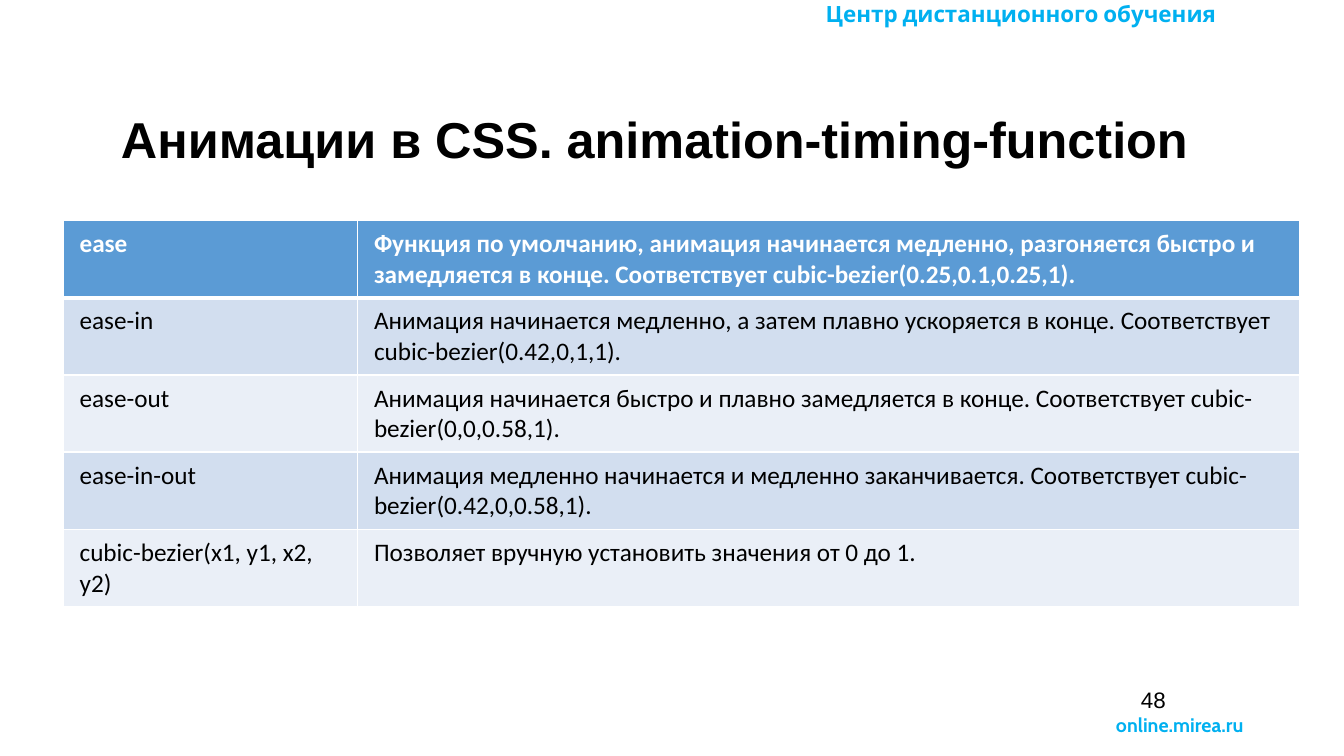
from lxml import etree
from pptx import Presentation
from pptx.dml.color import RGBColor
from pptx.enum.text import MSO_ANCHOR, PP_ALIGN
from pptx.oxml.ns import qn
from pptx.util import Inches, Pt

TOP = MSO_ANCHOR.TOP
LEFT, RIGHT = PP_ALIGN.LEFT, PP_ALIGN.RIGHT
COLORS = {"black": "000000", "white": "FFFFFF", "cyan": "00B0F0",
          "head": "5B9BD5", "dark": "D2DEEF", "light": "EAEFF7"}
ROWS = [
    ("ease", "Функция по умолчанию, анимация начинается медленно, разгоняется быстро "
     "и замедляется в конце. Соответствует cubic-bezier(0.25,0.1,0.25,1)."),
    ("ease-in", "Анимация начинается медленно, а затем плавно ускоряется в конце. "
     "Соответствует cubic-bezier(0.42,0,1,1)."),
    ("ease-out", "Анимация начинается быстро и плавно замедляется в конце. "
     "Соответствует cubic-bezier(0,0,0.58,1)."),
    ("ease-in-out", "Анимация медленно начинается и медленно заканчивается. "
     "Соответствует cubic-bezier(0.42,0,0.58,1)."),
    ("cubic-bezier(x1, y1, x2, y2)",
     "Позволяет вручную установить значения от 0 до 1."),
]
COLS = (2.92, 9.34)
ROW_H = 0.765


def color(name):
    """Return a named colour."""
    return RGBColor.from_string(COLORS[name])


def write(frame, text, size, face, tint, bold=False, align=LEFT):
    """Put one styled paragraph in a text frame."""
    frame.text = text
    frame.word_wrap = True
    para = frame.paragraphs[0]
    para.alignment = align
    font = para.runs[0].font
    font.size, font.name, font.bold = Pt(size), face, bold
    font.color.rgb = color(tint)


def add_title(slide, text):
    """Place and format the title placeholder."""
    title = slide.shapes.title
    title.left, title.top = Inches(1.1), Inches(1.02)
    title.width, title.height = Inches(12.01), Inches(1.1)
    write(title.text_frame, text, 36, "Arial", "black", True)
    title.text_frame.vertical_anchor = TOP


def add_label(slide, box, text, *style):
    """Add a text box with one line."""
    shape = slide.shapes.add_textbox(*map(Inches, box))
    write(shape.text_frame, text, *style)


def add_lines(cell, base):
    """Draw white cell borders, with the given width at the bottom."""
    props = cell._tc.get_or_add_tcPr()
    for side, width in (("L", 1), ("R", 1), ("T", 1), ("B", base)):
        line = etree.SubElement(props, qn("a:ln" + side), w=str(Pt(width)))
        fill = etree.SubElement(line, qn("a:solidFill"))
        etree.SubElement(fill, qn("a:srgbClr"), val=COLORS["white"])


def fill_cell(cell, text, head, shade):
    """Set the text, borders and fill of a cell."""
    cell.margin_left = cell.margin_right = Inches(0.16)
    cell.margin_top = cell.margin_bottom = Inches(0.08)
    write(cell.text_frame, text, 18, "Calibri", "white" if head else "black", head)
    add_lines(cell, 3 if head else 1)
    cell.fill.solid()
    cell.fill.fore_color.rgb = color(shade)


def add_grid(slide):
    """Add the table of timing functions."""
    box = (0.63, 2.19, sum(COLS), ROW_H * len(ROWS))
    table = slide.shapes.add_table(len(ROWS), len(COLS), *map(Inches, box)).table
    for col, width in zip(table.columns, COLS):
        col.width = Inches(width)
    for i, row in enumerate(ROWS):
        shade = "head" if i == 0 else ("light", "dark")[i % 2]
        for j, text in enumerate(row):
            fill_cell(table.cell(i, j), text, i == 0, shade)


def main():
    """Build and save the slide."""
    deck = Presentation()
    deck.slide_width, deck.slide_height = Inches(13.33), Inches(7.5)
    slide = deck.slides.add_slide(deck.slide_layouts[5])
    add_label(slide, (8.09, -0.05, 5.25, 0.37), "Центр дистанционного обучения",
              16, "Cabin", "cyan", True)
    add_label(slide, (10.97, 7.02, 2.15, 0.34), "online.mirea.ru",
              14, "Cabin", "cyan", True)
    add_title(slide, "Анимации в CSS. animation-timing-function")
    add_label(slide, (9.33, 6.76, 2.33, 0.29), "48", 16, "Arial", "black", False, RIGHT)
    add_grid(slide)
    deck.save("out.pptx")


if __name__ == "__main__":
    main()
